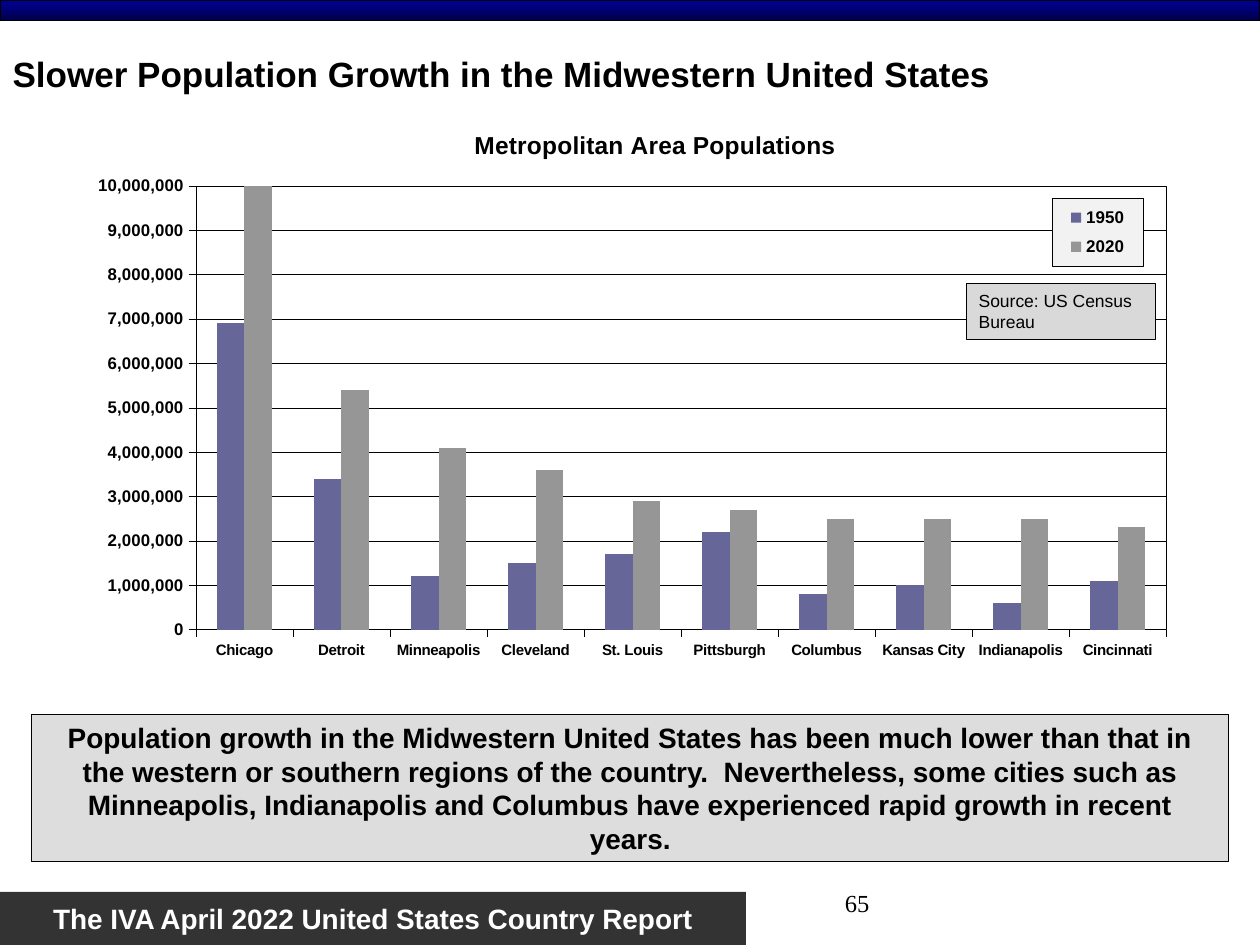
"""Builds a slide comparing Midwestern metropolitan populations in 1950 and 2020."""
from lxml import etree
from pptx import Presentation
from pptx.chart.data import CategoryChartData
from pptx.dml.color import RGBColor
from pptx.enum.chart import XL_CHART_TYPE, XL_LEGEND_POSITION, XL_TICK_MARK
from pptx.enum.shapes import MSO_SHAPE
from pptx.enum.text import MSO_ANCHOR, MSO_AUTO_SIZE, PP_ALIGN
from pptx.oxml import parse_xml
from pptx.oxml.ns import nsdecls, qn
from pptx.util import Cm, Pt

RECTANGLE = MSO_SHAPE.RECTANGLE
MIDDLE, TOP = MSO_ANCHOR.MIDDLE, MSO_ANCHOR.TOP
LEFT, CENTER, RIGHT = PP_ALIGN.LEFT, PP_ALIGN.CENTER, PP_ALIGN.RIGHT
OUTSIDE, NO_TICKS = XL_TICK_MARK.OUTSIDE, XL_TICK_MARK.NONE

COLORS = {
    "black": "000000", "white": "FFFFFF", "footer": "333333",
    "banner top": "000099", "banner bottom": "000047",
    "message": "DDDDDD", "source": "D9D9D9", "legend": "F2F2F2",
    "1950": "666699", "2020": "969696",
}
RGB = {name: RGBColor.from_string(value) for name, value in COLORS.items()}


def write(shape, text, size, bold=True, color="black", align=LEFT, anchor=MIDDLE, font="Arial"):
    frame = shape.text_frame
    frame.word_wrap = True
    frame.auto_size = MSO_AUTO_SIZE.NONE
    frame.vertical_anchor = anchor
    paragraph = frame.paragraphs[0]
    paragraph.text = text
    paragraph.alignment = align
    paragraph.font.name = font
    paragraph.font.size = Pt(size)
    paragraph.font.bold = bold
    paragraph.font.color.rgb = RGB[color]


def place(element, index, **fractions):
    for layout in element.findall(qn("c:layout")):
        element.remove(layout)
    layout = etree.Element(qn("c:layout"))
    manual = etree.SubElement(layout, qn("c:manualLayout"))
    for tag, value in fractions.items():
        etree.SubElement(manual, qn(f"c:{tag}"), val=str(value))
    element.insert(index, layout)


presentation = Presentation()
presentation.slide_width, presentation.slide_height = Cm(25.4), Cm(19.05)
slide = presentation.slides.add_slide(presentation.slide_layouts[5])

title = slide.shapes.title
title.left, title.top, title.width, title.height = Cm(0), Cm(0.64), Cm(24.34), Cm(1.69)
write(title, "Slower Population Growth in the Midwestern United States", 20)

banner = slide.shapes.add_shape(RECTANGLE, Cm(0), Cm(0), Cm(25.4), Cm(0.42))
banner.shadow.inherit = False
banner.fill.gradient()
banner.fill.gradient_angle = 270
for stop, name in zip(banner.fill.gradient_stops, ("banner top", "banner bottom")):
    stop.color.rgb = RGB[name]
banner.line.color.rgb = RGB["black"]
banner.line.width = Pt(0.75)

page_number = slide.shapes.add_textbox(Cm(12.5), Cm(17.78), Cm(5.28), Cm(1.27))
write(page_number, "65", 14, bold=False, align=RIGHT, anchor=TOP, font="Times New Roman")

chart_data = CategoryChartData(number_format="#,##0")
chart_data.categories = [
    "Chicago", "Detroit", "Minneapolis", "Cleveland", "St. Louis",
    "Pittsburgh", "Columbus", "Kansas City", "Indianapolis", "Cincinnati",
]
millions = {
    "1950": (6.9, 3.4, 1.2, 1.5, 1.7, 2.2, 0.8, 1.0, 0.6, 1.1),
    "2020": (10.0, 5.4, 4.1, 3.6, 2.9, 2.7, 2.5, 2.5, 2.5, 2.3),
}
for year, values in millions.items():
    chart_data.add_series(year, [round(value * 1_000_000) for value in values])
chart = slide.shapes.add_chart(
    XL_CHART_TYPE.COLUMN_CLUSTERED, Cm(1.19), Cm(2.26), Cm(23.01), Cm(12.42), chart_data
).chart
chart.font.name = "Arial"
chart.font.size = Pt(12.7)
chart.font.bold = True
chart.font.color.rgb = RGB["black"]

chart.has_title = True
heading = chart.chart_title.text_frame.paragraphs[0]
heading.text = "Metropolitan Area Populations"
heading.font.name = "Arial"
heading.font.size = Pt(14)
heading.font.bold = True
heading.font.color.rgb = RGB["black"]

plot = chart.plots[0]
plot.gap_width = 150
plot.overlap = 0
plot.vary_by_categories = False
for series in plot.series:
    series.format.fill.solid()
    series.format.fill.fore_color.rgb = RGB[series.name]
    series.invert_if_negative = False

value_axis = chart.value_axis
value_axis.minimum_scale, value_axis.maximum_scale = 0, 10_000_000
value_axis.major_unit = 1_000_000
value_axis.tick_labels.number_format = "#,##0"
value_axis.tick_labels.number_format_is_linked = False
value_axis.has_major_gridlines = True
for axis, size in ((chart.category_axis, 8.6), (value_axis, 9.6)):
    axis.major_tick_mark, axis.minor_tick_mark = OUTSIDE, NO_TICKS
    axis.tick_labels.font.name = "Arial"
    axis.tick_labels.font.size = Pt(size)
    axis.tick_labels.font.bold = True
    axis.tick_labels.font.color.rgb = RGB["black"]
for line in (chart.category_axis.format.line, value_axis.format.line,
             value_axis.major_gridlines.format.line):
    line.color.rgb = RGB["black"]
    line.width = Pt(0.25)

chart.has_legend = True
chart.legend.position = XL_LEGEND_POSITION.RIGHT
chart.legend.include_in_layout = False
plot_area, legend, chart_title = (
    chart.element.xpath(f"c:chart/c:{tag}")[0] for tag in ("plotArea", "legend", "title")
)
place(plot_area, 0, layoutTarget="inner", xMode="edge", yMode="edge", x=0.12, y=0.12, w=0.85, h=0.72)
place(legend, 1, xMode="edge", yMode="edge", x=0.87, y=0.14, w=0.08, h=0.11)
place(chart_title, 1, xMode="edge", yMode="edge", x=0.36, y=0.02)
legend_fill = f'<a:solidFill><a:srgbClr val="{COLORS["legend"]}"/></a:solidFill>'
for element, fill in ((plot_area, "<a:noFill/>"), (legend, legend_fill)):
    element.append(parse_xml(
        f'<c:spPr {nsdecls("c", "a")}>{fill}<a:ln w="3175"><a:solidFill>'
        f'<a:srgbClr val="{COLORS["black"]}"/></a:solidFill></a:ln></c:spPr>'
    ))
chart.legend.font.name = "Arial"
chart.legend.font.size = Pt(9.7)
chart.legend.font.bold = True
chart.legend.font.color.rgb = RGB["black"]

message = (
    "Population growth in the Midwestern United States has been much lower than that in "
    "the western or southern regions of the country.  Nevertheless, some cities such as "
    "Minneapolis, Indianapolis and Columbus have experienced rapid growth in recent years."
)
boxes = [
    ("footer", (0, 17.98, 15.04, 1.07), "The IVA April 2022 United States Country Report", 16, True, "white", CENTER),
    ("message", (0.64, 14.4, 24.13, 2.97), message, 16, True, "black", CENTER),
    ("source", (19.48, 5.72, 3.81, 1.12), "Source: US Census Bureau", 10, False, "black", LEFT),
]
for name, bounds, text, size, bold, color, align in boxes:
    box = slide.shapes.add_shape(RECTANGLE, *map(Cm, bounds))
    box.shadow.inherit = False
    box.fill.solid()
    box.fill.fore_color.rgb = RGB[name]
    if name == "footer":
        box.line.fill.background()
    else:
        box.line.color.rgb = RGB["black"]
        box.line.width = Pt(0.75)
    write(box, text, size, bold, color, align)

presentation.save("out.pptx")
